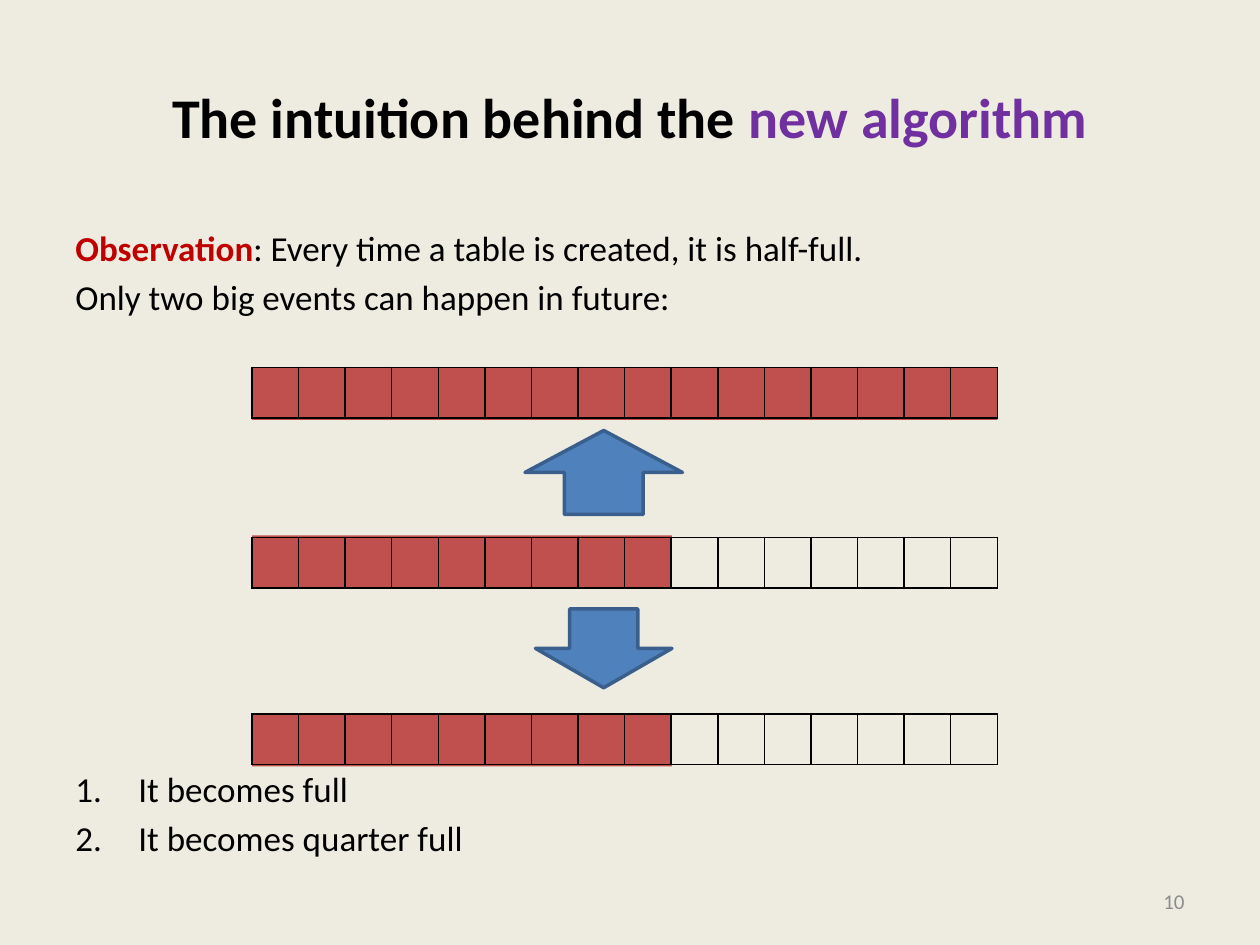
import dataclasses

import lxml.etree
import pptx
import pptx.dml.color
import pptx.enum.shapes
import pptx.enum.text
import pptx.oxml.ns
import pptx.util

SHAPE = pptx.enum.shapes.MSO_SHAPE
ALIGN = pptx.enum.text.PP_ALIGN
ANCHOR = pptx.enum.text.MSO_ANCHOR


@dataclasses.dataclass(frozen=True)
class Theme:
    """Colours, font and type sizes of the slide."""
    paper: str = "EEECE1"
    ink: str = "000000"
    accent: str = "7030A0"
    alert: str = "C00000"
    filled: str = "C0504D"
    arrow: str = "4F81BD"
    arrow_edge: str = "3A5F8C"
    muted: str = "8C8C8C"
    font: str = "Calibri"
    title: int = 32
    body: int = 20
    small: int = 12


THEME = Theme()


def grid(units):
    """Turn grid units, twelve to the inch, into a length."""
    return pptx.util.Inches(units / 12)


def rgb(value):
    """Turn a hex string into a colour."""
    return pptx.dml.color.RGBColor.from_string(value)


def add_xml(parent, tag, **attributes):
    """Append a drawing element to a parent and return it."""
    return lxml.etree.SubElement(parent, pptx.oxml.ns.qn(tag), attributes)


def write(para, text, *, size=THEME.body, color=THEME.ink, bold=False):
    """Add one formatted span of text to a paragraph."""
    span = para.add_run()
    span.text = text
    span.font.name = THEME.font
    span.font.size = pptx.util.Pt(size)
    span.font.color.rgb = rgb(color)
    span.font.bold = bold


class Page:
    """Holds the theme and current slide, and draws elements on its grid."""

    def __init__(self, deck, theme):
        """Add a blank slide with the theme's background."""
        self.theme = theme
        self.slide = deck.slides.add_slide(deck.slide_layouts[6])
        self.slide.background.fill.solid()
        self.slide.background.fill.fore_color.rgb = rgb(theme.paper)

    def text(self, place, lines, *, align=ALIGN.LEFT, anchor=ANCHOR.TOP,
             numbered=False):
        """Add a box; each line is a list of (text, format) spans."""
        box = self.slide.shapes.add_textbox(*map(grid, place))
        frame = box.text_frame
        frame.word_wrap = True
        frame.vertical_anchor = anchor
        for index, spans in enumerate(lines):
            para = frame.paragraphs[0] if index == 0 else frame.add_paragraph()
            para.alignment = align
            para.space_before = pptx.util.Pt(4 if index else 0)
            if numbered:
                properties = para._p.get_or_add_pPr()
                properties.set("marL", str(grid(6)))
                properties.set("indent", str(-grid(6)))
                add_xml(properties, "a:buAutoNum", type="arabicPeriod")
            for words, style in spans:
                write(para, words, **style)

    def shape(self, kind, place, fill, edge=None):
        """Add a filled preset shape, outlined if an edge colour is given."""
        shape = self.slide.shapes.add_shape(kind, *map(grid, place))
        shape.shadow.inherit = False
        shape.fill.solid()
        shape.fill.fore_color.rgb = rgb(fill)
        if edge:
            shape.line.color.rgb = rgb(edge)
            shape.line.width = pptx.util.Pt(2)
        else:
            shape.line.fill.background()

    def cells(self, place, count):
        """Add a one-row table of equal, transparent, bordered cells."""
        table = self.slide.shapes.add_table(1, count, *map(grid, place)).table
        table.first_row = table.horz_banding = False
        for column in table.columns:
            column.width = grid(place[2] / count)
        for cell in table.iter_cells():
            properties = cell._tc.get_or_add_tcPr()
            for side in ("a:lnL", "a:lnR", "a:lnT", "a:lnB"):
                border = add_xml(properties, side, w=str(pptx.util.Pt(1)))
                paint = add_xml(border, "a:solidFill")
                add_xml(paint, "a:srgbClr", val=self.theme.ink)
            cell.fill.background()


def main():
    """Build the slide and save it."""
    deck = pptx.Presentation()
    deck.slide_width, deck.slide_height = grid(120), grid(90)
    page = Page(deck, THEME)

    heading = {"size": THEME.title, "bold": True}
    page.text((6, 3.6, 108, 15), [[
        ("The intuition behind the ", heading),
        ("new algorithm", {**heading, "color": THEME.accent}),
    ]], align=ALIGN.CENTER, anchor=ANCHOR.MIDDLE)
    page.text((6, 21, 108, 11), [
        [("Observation", {"color": THEME.alert, "bold": True}),
         (": Every time a table is created, it is half-full.", {})],
        [("Only two big events can happen in future:", {})],
    ])

    left, table_width, half_width = 24, 71, 40
    for bar_top, table_top, bar_width in ((35, 35, table_width),
                                          (51, 51.2, half_width),
                                          (68, 68, half_width)):
        page.shape(SHAPE.RECTANGLE, (left, bar_top, bar_width, 5), THEME.filled)
        page.cells((left, table_top, table_width, 4.8), 16)

    arrow_center = 57.5
    for kind, top, width, height in ((SHAPE.UP_ARROW, 41, 15, 8),
                                     (SHAPE.DOWN_ARROW, 58, 13, 7.5)):
        page.shape(kind, (arrow_center - width / 2, top, width, height),
                   THEME.arrow, THEME.arrow_edge)

    page.text((6, 72.5, 108, 10.5), [
        [("It becomes full", {})],
        [("It becomes quarter full", {})],
    ], numbered=True)
    page.text((86, 83.4, 28, 4.8),
              [[("10", {"size": THEME.small, "color": THEME.muted})]],
              align=ALIGN.RIGHT, anchor=ANCHOR.MIDDLE)

    deck.save("out.pptx")


main()
